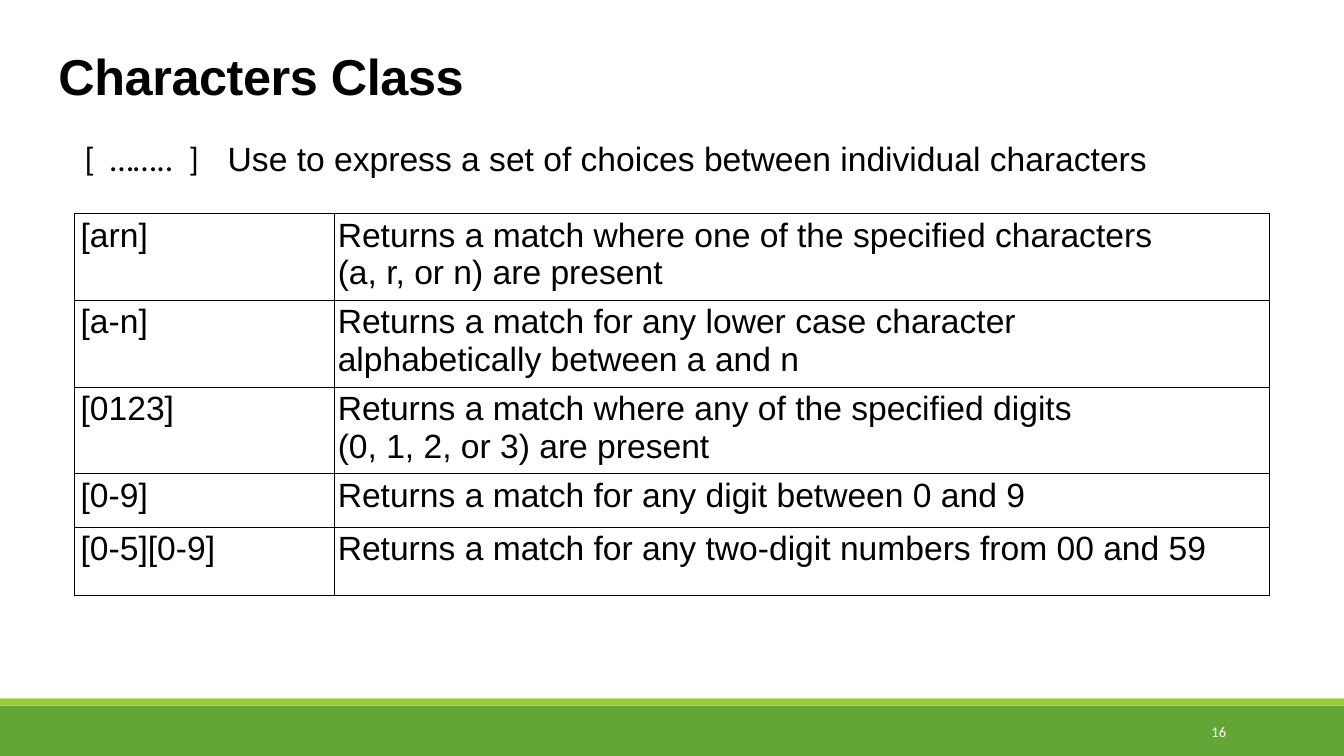
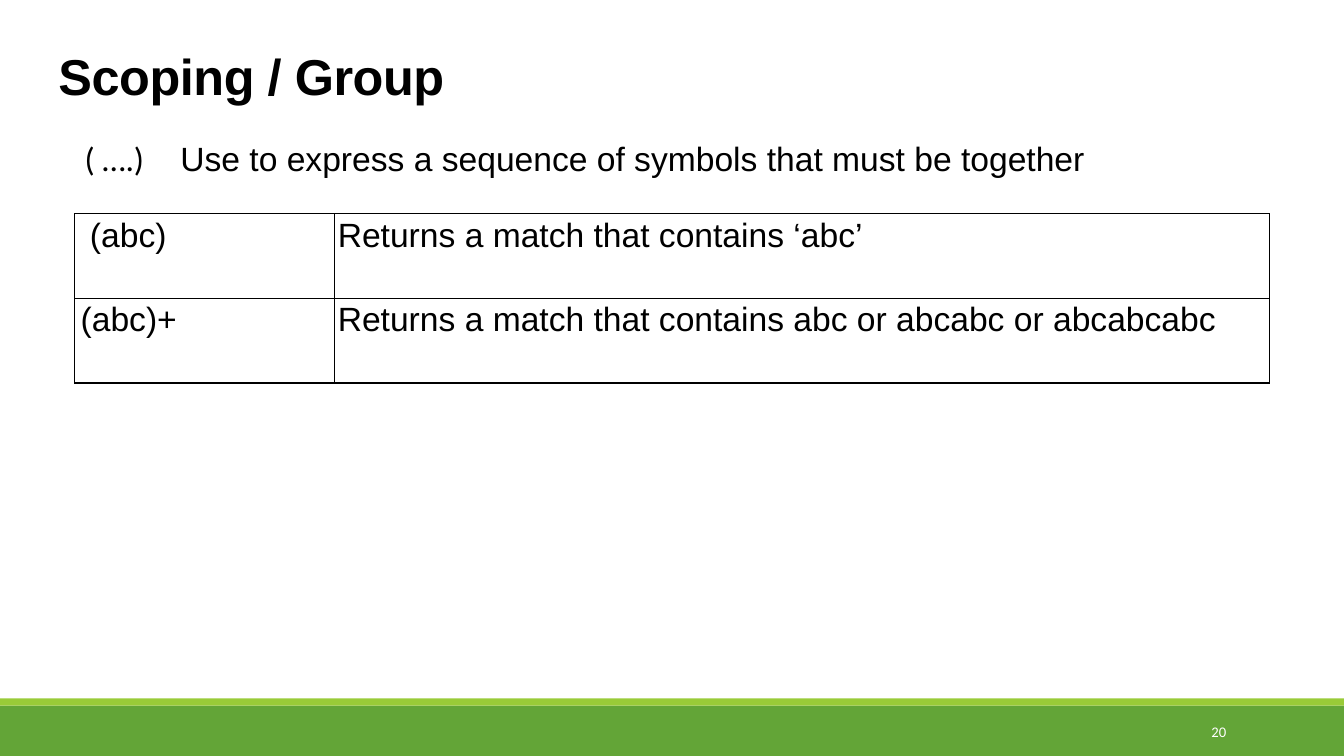
from dataclasses import dataclass

from lxml.etree import SubElement
from pptx import Presentation
from pptx.dml.color import RGBColor as RGB
from pptx.enum.shapes import MSO_SHAPE as SHAPE
from pptx.enum.text import MSO_ANCHOR as ANCHOR, PP_ALIGN as ALIGN
from pptx.oxml.ns import qn
from pptx.util import Inches, Pt


@dataclass(frozen=True)
class Theme:
    band: str = "63A537"
    stripe: str = "99CB38"
    ink: str = "000000"
    paper: str = "FFFFFF"
    body_font: str = "Arial"
    symbol_font: str = "Calibri"
    title_size: float = 36
    body_size: float = 24
    number_size: float = 10.5
    title_spacing: float = -0.3
    border_width: float = 1


T = Theme()
WIDTH, HEIGHT = 13.33, 7.5
TITLE_BOX = (0.58, 0.45, 12.3, 0.61)
FOOTER_BOX = (0, 6.93, WIDTH, 0.57)
INTRO_BOX = (0.74, 1.32, 11.85, 0.5)
TABLE_POS = (0.74, 2.12)
COLUMNS = (2.58, 9.27)


def add_run(p, text, font=T.body_font, size=T.body_size, color=T.ink):
    r = p.add_run()
    r.text = text
    r.font.name = font
    r.font.size = Pt(size)
    r.font.color.rgb = RGB.from_string(color)
    return r


def add_text(s, box, text, wrap=True, **style):
    sp = s.shapes.add_textbox(*map(Inches, box))
    tf = sp.text_frame
    tf.word_wrap = wrap
    return tf, add_run(tf.paragraphs[0], text, **style)


def add_bar(s, box, color):
    sp = s.shapes.add_shape(SHAPE.RECTANGLE, *map(Inches, box))
    sp.shadow.inherit = False
    sp.fill.solid()
    sp.fill.fore_color.rgb = RGB.from_string(color)
    sp.line.fill.background()


def add_footer(s, box, number):
    x, y, w, h = box
    stripe_h = 0.07
    add_bar(s, (x, y + stripe_h, w, h - stripe_h), T.band)
    add_bar(s, (x, y, w, stripe_h), T.stripe)
    tf, _ = add_text(s, (x + w - 2.5, y + 0.13, 1.43, 0.4), str(number),
                     font=T.symbol_font, size=T.number_size, color=T.paper)
    tf.vertical_anchor = ANCHOR.MIDDLE
    tf.paragraphs[0].alignment = ALIGN.RIGHT


def add_title(s, box, text):
    tf, r = add_text(s, box, text, size=T.title_size)
    tf.margin_left = tf.margin_right = tf.margin_top = tf.margin_bottom = 0
    r.font.bold = True
    # Letter spacing is stored in hundredths of a point
    r.font._element.set("spc", str(round(T.title_spacing * 100)))


def add_intro(s, box, symbol, symbol_w, meaning):
    x, y, w, h = box
    add_text(s, (x, y, symbol_w, h), symbol, wrap=False, font=T.symbol_font)
    add_text(s, (x + symbol_w, y, 10.35, h), meaning)


def set_borders(cell):
    tc_pr = cell._tc.get_or_add_tcPr()
    for i, side in enumerate(("lnL", "lnR", "lnT", "lnB")):
        ln = SubElement(tc_pr, qn(f"a:{side}"), w=str(Pt(T.border_width)))
        fill = SubElement(ln, qn("a:solidFill"))
        SubElement(fill, qn("a:srgbClr"), val=T.ink)
        # Borders come before the cell fill
        tc_pr.insert(i, ln)


def fill_cell(cell, lines, left):
    cell.fill.background()
    set_borders(cell)
    cell.margin_left = Inches(left)
    cell.margin_right = cell.margin_top = cell.margin_bottom = Inches(0.03)
    tf = cell.text_frame
    for i, line in enumerate(lines):
        p = tf.add_paragraph() if i else tf.paragraphs[0]
        add_run(p, line)


def add_pattern_table(s, pos, rows):
    heights = [height for height, _, _ in rows]
    box = (*pos, sum(COLUMNS), sum(heights))
    table = s.shapes.add_table(len(rows), len(COLUMNS), *map(Inches, box)).table
    table.first_row = table.horz_banding = False
    for column, width in zip(table.columns, COLUMNS):
        column.width = Inches(width)
    for row, (height, pattern, meaning) in zip(table.rows, rows):
        row.height = Inches(height)
        fill_cell(row.cells[0], [pattern], 0.06)
        fill_cell(row.cells[1], meaning, 0.03)


def add_pattern_slide(prs, number, title, intro, rows):
    s = prs.slides.add_slide(prs.slide_layouts[6])
    add_footer(s, FOOTER_BOX, number)
    add_title(s, TITLE_BOX, title)
    add_intro(s, INTRO_BOX, *intro)
    add_pattern_table(s, TABLE_POS, rows)


# Slide content: row height, pattern, lines of explanation
CLASS_ROWS = [
    (0.84, "[arn]", ["Returns a match where one of the specified characters",
                     "(a, r, or n) are present"]),
    (0.84, "[a-n]", ["Returns a match for any lower case character",
                     "alphabetically between a and n"]),
    (0.84, "[0123]", ["Returns a match where any of the specified digits",
                      "(0, 1, 2, or 3) are present"]),
    (0.53, "[0-9]", ["Returns a match for any digit between 0 and 9"]),
    (0.68, "[0-5][0-9]",
     ["Returns a match for any two-digit numbers from 00 and 59"]),
]
GROUP_ROWS = [
    (0.84, " (abc)", ["Returns a match that contains ‘abc’"]),
    (0.84, "(abc)+",
     ["Returns a match that contains abc or abcabc or abcabcabc"]),
]


def main():
    prs = Presentation()
    prs.slide_width, prs.slide_height = Inches(WIDTH), Inches(HEIGHT)
    add_pattern_slide(
        prs, 16, "Characters Class",
        ("[  ……..  ]", 1.42,
         "Use to express a set of choices between individual characters"),
        CLASS_ROWS)
    add_pattern_slide(
        prs, 20, "Scoping / Group",
        ("( ….)", 0.95,
         "Use to express a sequence of symbols that must be together"),
        GROUP_ROWS)
    prs.save("out.pptx")


if __name__ == "__main__":
    main()
